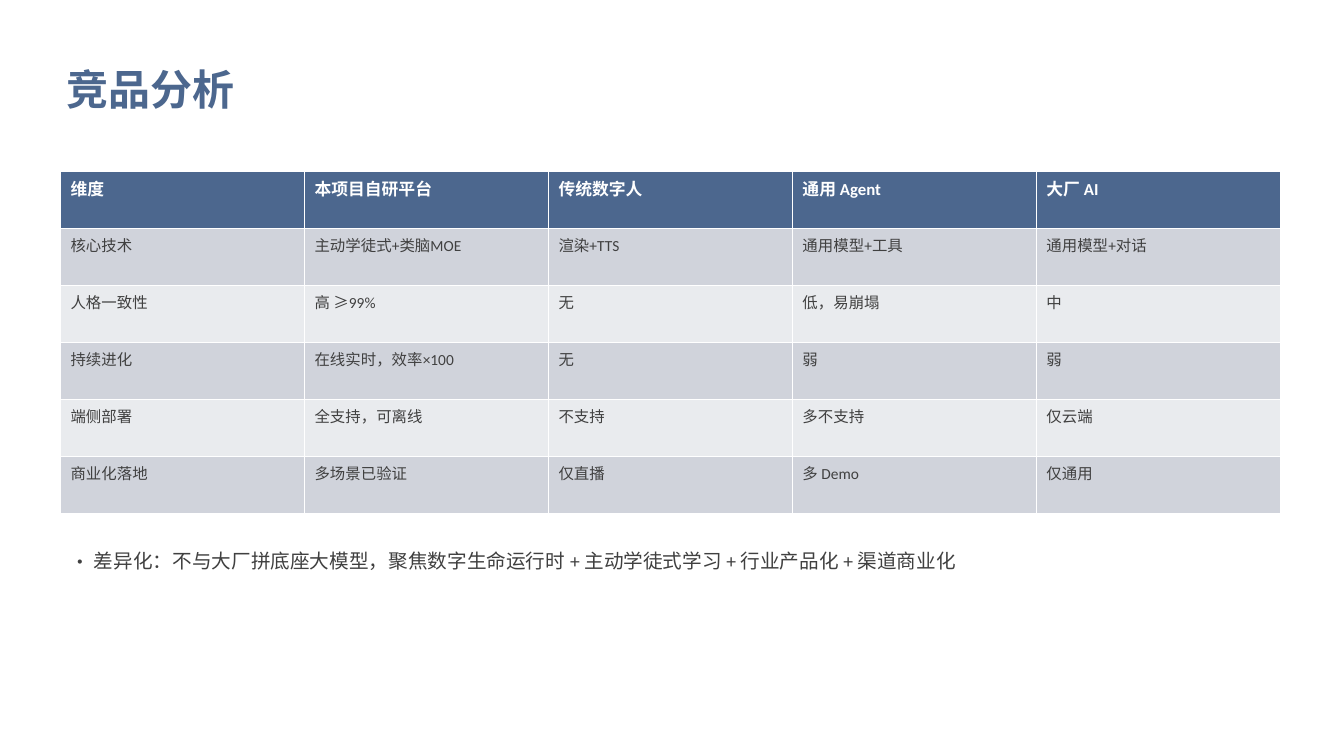
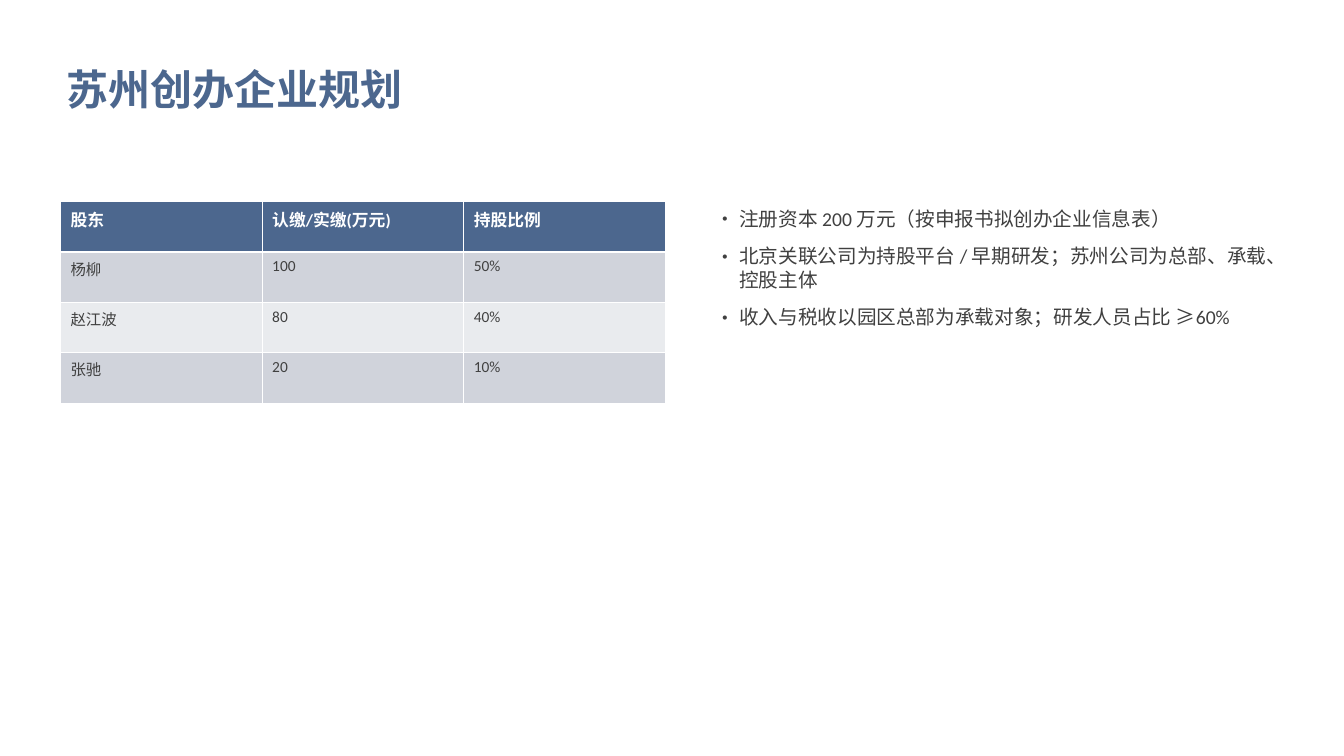
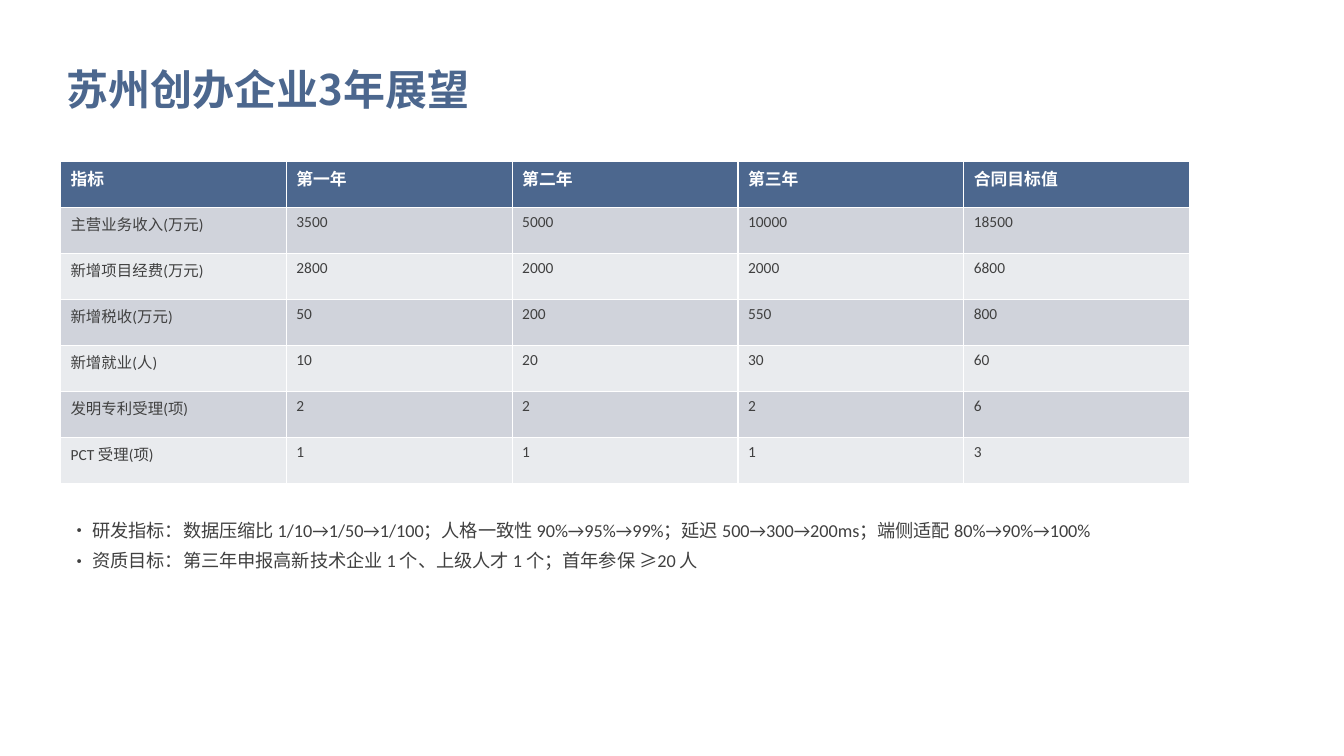
from lxml import etree
from pptx import Presentation
from pptx.dml.color import RGBColor
from pptx.enum.text import MSO_ANCHOR
from pptx.oxml.ns import qn
from pptx.util import Pt

TOP = MSO_ANCHOR.TOP
PX = 9144  # EMU per px, 100 px to the inch
SLIDE_SIZE = (1333, 750)


class Theme:
    blue = RGBColor.from_string("4C678E")
    white = RGBColor.from_string("FFFFFF")
    text = RGBColor.from_string("404040")
    bands = [RGBColor.from_string(c) for c in ("D0D3DB", "E9EBEE")]
    title_font, body_font = "Noto Sans CJK SC", "Calibri"
    title_size, head_size, cell_size = 30, 12, 11
    title_box, title_insets = (52, 29, 1229, 98), (14, 14, 6, 14)
    title_spacing = 1.4
    bullet_indent = 1.2  # in multiples of the type size


# Content: boxes are left, top, width, height in px
SLIDES = [
    {
        "title": "竞品分析",
        "table_box": (60, 170, 1210, 340),
        "rows": [
            ("维度", "本项目自研平台", "传统数字人", "通用 Agent", "大厂 AI"),
            ("核心技术", "主动学徒式+类脑MOE", "渲染+TTS", "通用模型+工具", "通用模型+对话"),
            ("人格一致性", "高 ≥99%", "无", "低，易崩塌", "中"),
            ("持续进化", "在线实时，效率×100", "无", "弱", "弱"),
            ("端侧部署", "全支持，可离线", "不支持", "多不支持", "仅云端"),
            ("商业化落地", "多场景已验证", "仅直播", "多 Demo", "仅通用"),
        ],
        "bullet_box": (60, 540, 1210, 180),
        "bullet_size": 14,
        "space_after": 4,
        "bullets": [
            "差异化：不与大厂拼底座大模型，聚焦数字生命运行时 + 主动学徒式学习 + 行业产品化 + 渠道商业化",
        ],
    },
    {
        "title": "苏州创办企业规划",
        "table_box": (60, 200, 600, 200),
        "rows": [
            ("股东", "认缴/实缴(万元)", "持股比例"),
            ("杨柳", "100", "50%"),
            ("赵江波", "80", "40%"),
            ("张驰", "20", "10%"),
        ],
        "bullet_box": (700, 200, 570, 520),
        "bullet_size": 14,
        "space_after": 10,
        "bullets": [
            "注册资本 200 万元（按申报书拟创办企业信息表）",
            "北京关联公司为持股平台 / 早期研发；苏州公司为总部、承载、控股主体",
            "收入与税收以园区总部为承载对象；研发人员占比 ≥60%",
        ],
    },
    {
        "title": "苏州创办企业3年展望",
        "table_box": (60, 160, 1120, 320),
        "rows": [
            ("指标", "第一年", "第二年", "第三年", "合同目标值"),
            ("主营业务收入(万元)", "3500", "5000", "10000", "18500"),
            ("新增项目经费(万元)", "2800", "2000", "2000", "6800"),
            ("新增税收(万元)", "50", "200", "550", "800"),
            ("新增就业(人)", "10", "20", "30", "60"),
            ("发明专利受理(项)", "2", "2", "2", "6"),
            ("PCT 受理(项)", "1", "1", "1", "3"),
        ],
        "bullet_box": (60, 510, 1210, 210),
        "bullet_size": 13,
        "space_after": 6,
        "bullets": [
            "研发指标：数据压缩比 1/10→1/50→1/100；人格一致性 90%→95%→99%；"
            "延迟 500→300→200ms；端侧适配 80%→90%→100%",
            "资质目标：第三年申报高新技术企业 1 个、上级人才 1 个；首年参保 ≥20 人",
        ],
    },
]


def emu(lengths):
    return [n * PX for n in lengths]


def style(p, size, color, bold=False, font=Theme.body_font):
    for r in p.runs:
        r.font.size, r.font.bold, r.font.name = Pt(size), bold, font
        r.font.color.rgb = color


def add_text_box(s, box):
    tf = s.shapes.add_textbox(*emu(box)).text_frame
    tf.word_wrap = True
    tf.vertical_anchor = TOP
    return tf


def add_title(s, title):
    tf = add_text_box(s, Theme.title_box)
    (tf.margin_left, tf.margin_top,
     tf.margin_right, tf.margin_bottom) = emu(Theme.title_insets)
    tf.text = title
    p = tf.paragraphs[0]
    p.line_spacing = Theme.title_spacing
    style(p, Theme.title_size, Theme.blue, True, Theme.title_font)


def add_data_table(s, box, rows):
    table = s.shapes.add_table(len(rows), len(rows[0]), *emu(box)).table
    for row in table.rows:
        row.height = box[3] * PX // len(rows)
    for i, values in enumerate(rows):
        header = i == 0
        for j, value in enumerate(values):
            cell = table.cell(i, j)
            cell.text = value
            cell.fill.solid()
            cell.fill.fore_color.rgb = Theme.blue if header else Theme.bands[(i - 1) % 2]
            style(cell.text_frame.paragraphs[0],
                  Theme.head_size if header else Theme.cell_size,
                  Theme.white if header else Theme.text, header)


def add_bullets(s, box, items, size, space_after):
    tf = add_text_box(s, box)
    tf.text = "\n".join(items)
    indent = Pt(size * Theme.bullet_indent)
    for p in tf.paragraphs:
        pPr = p._p.get_or_add_pPr()
        pPr.set("marL", str(indent))
        pPr.set("indent", str(-indent))
        etree.SubElement(pPr, qn("a:buFont"), typeface=Theme.title_font)
        etree.SubElement(pPr, qn("a:buChar"), char="•")
        p.space_after = Pt(space_after)
        style(p, size, Theme.text)


def main():
    prs = Presentation()
    prs.slide_width, prs.slide_height = emu(SLIDE_SIZE)
    blank = prs.slide_layouts[6]
    for d in SLIDES:
        s = prs.slides.add_slide(blank)
        add_title(s, d["title"])
        add_data_table(s, d["table_box"], d["rows"])
        add_bullets(s, d["bullet_box"], d["bullets"], d["bullet_size"], d["space_after"])
    prs.save("out.pptx")


if __name__ == "__main__":
    main()
